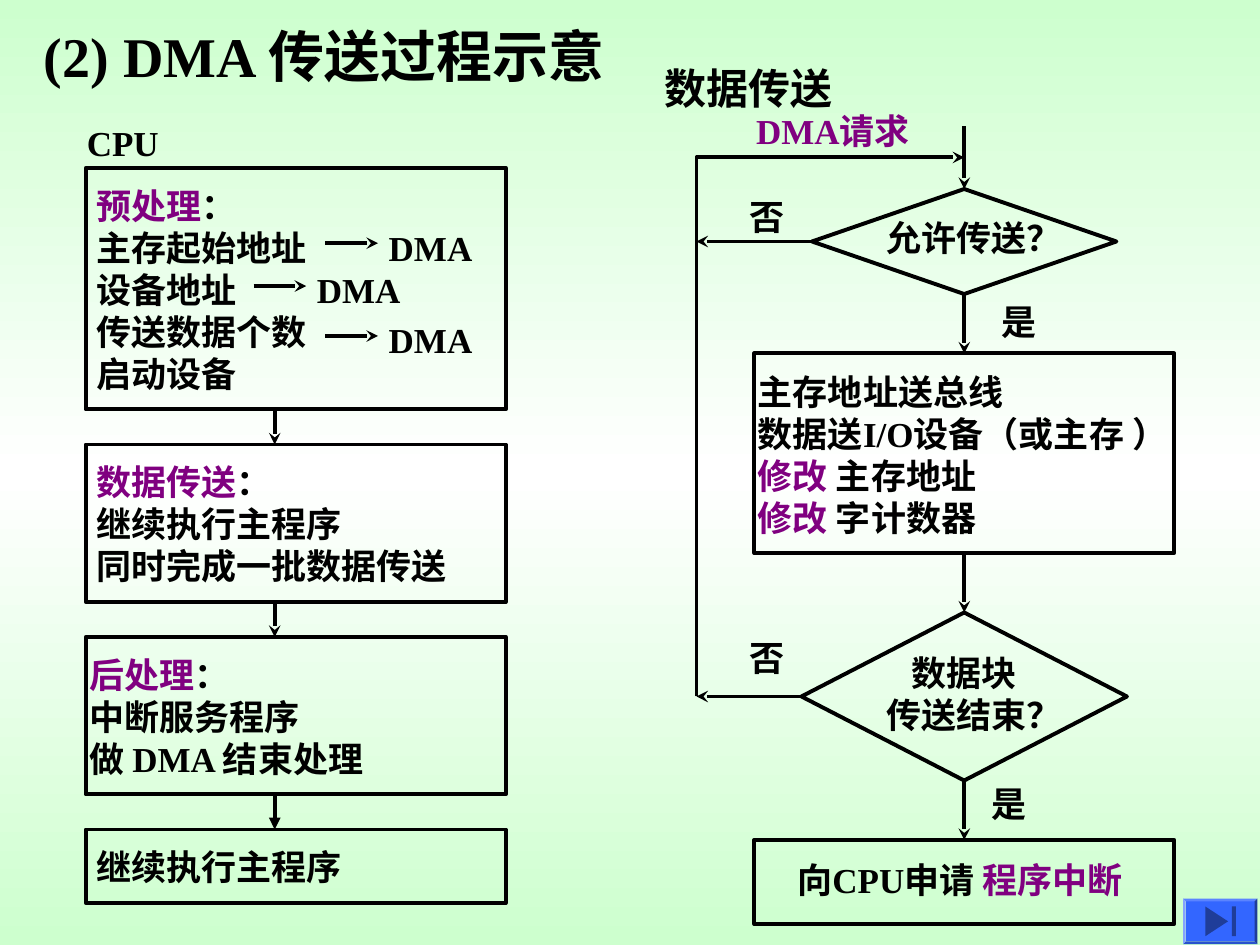
from copy import deepcopy
from dataclasses import dataclass

from lxml import etree
from pptx import Presentation
from pptx.dml.color import RGBColor
from pptx.enum import shapes, text
from pptx.oxml.ns import qn
from pptx.util import Pt


@dataclass(frozen=True)
class Theme:
    ink: str = "000000"
    accent: str = "800080"
    edge: str = "CDFFCE"
    middle: str = "FFFFFF"
    button: str = "3366FF"
    button_icon: str = "1F3D99"
    font: str = "Times New Roman"
    body: int = 20
    heading: int = 24
    title: int = 32
    stroke: float = 2.25


TOP, LEFT, BOTTOM, RIGHT = range(4)
SHAPE = shapes.MSO_SHAPE


class Flowchart:
    def __init__(self, slide, theme):
        self.slide, self.theme = slide, theme

    def background(self):
        fill = self.slide.background.fill
        fill.gradient()
        fill.gradient_angle = 270
        stops = self.slide.element.find(".//" + qn("a:gsLst"))
        stops.insert(1, deepcopy(stops[0]))
        colors = (self.theme.edge, self.theme.middle, self.theme.edge)
        for i, (stop, color) in enumerate(zip(fill.gradient_stops, colors)):
            stop.color.rgb = RGBColor.from_string(color)
            stop.position = i / 2

    def outline(self, item):
        item.line.color.rgb = RGBColor.from_string(self.theme.ink)
        item.line.width = Pt(self.theme.stroke)

    def arrowhead(self, item, kind):
        etree.SubElement(item.line._get_or_add_ln(), qn("a:tailEnd"), type=kind)

    def node(self, kind, x, y, w, h):
        """Add an unfilled, outlined shape."""
        node = self.slide.shapes.add_shape(kind, Pt(x), Pt(y), Pt(w), Pt(h))
        node.shadow.inherit = False
        node.fill.background()
        self.outline(node)
        return node

    def solid(self, kind, x, y, w, h, color):
        """Add a filled shape without an outline."""
        solid = self.node(kind, x, y, w, h)
        solid.fill.solid()
        solid.fill.fore_color.rgb = RGBColor.from_string(color)
        solid.line.fill.background()
        return solid

    def arrow(self, start, end, head="stealth", source=None, target=None):
        """source and target are (shape, side) pairs to join."""
        arrow = self.slide.shapes.add_connector(
            shapes.MSO_CONNECTOR.STRAIGHT, *map(Pt, start + end))
        if source:
            arrow.begin_connect(*source)
        if target:
            arrow.end_connect(*target)
        self.outline(arrow)
        self.arrowhead(arrow, head)
        etree.SubElement(arrow._element.spPr, qn("a:effectLst"))

    def bent_arrow(self, first, *others):
        builder = self.slide.shapes.build_freeform(*map(Pt, first), scale=1.0)
        builder.add_line_segments([tuple(map(Pt, p)) for p in others], close=False)
        bent = builder.convert_to_shape()
        bent.shadow.inherit = False
        bent.fill.background()
        self.outline(bent)
        self.arrowhead(bent, "stealth")

    def text(self, lines, x, y, w, h=31.5, size=None, color=None, wrap=False,
             first_indent=0):
        """Each line is a string or a list of (string, colour) runs."""
        theme = self.theme
        frame = self.slide.shapes.add_textbox(Pt(x), Pt(y), Pt(w), Pt(h)).text_frame
        frame.word_wrap = wrap
        frame.auto_size = text.MSO_AUTO_SIZE.SHAPE_TO_FIT_TEXT
        for i, line in enumerate(lines):
            paragraph = frame.paragraphs[0] if i == 0 else frame.add_paragraph()
            if i == 0 and first_indent:
                paragraph._p.get_or_add_pPr().set("marL", str(Pt(first_indent)))
            runs = [(line, color or theme.ink)] if isinstance(line, str) else line
            for words, run_color in runs:
                run = paragraph.add_run()
                run.text = words
                run.font.name = theme.font
                run.font.size = Pt(size or theme.body)
                run.font.bold = True
                run.font.color.rgb = RGBColor.from_string(run_color)


def draw_cpu_side(chart):
    ink, accent = chart.theme.ink, chart.theme.accent
    chart.text(["CPU"], 42.5, 66, 60)
    stages = [
        ("预处理", ["主存起始地址", "设备地址", "传送数据个数", "启动设备"], 48, 140, 138),
        ("数据传送", ["继续执行主程序", "同时完成一批数据传送"], 48, 220, 90),
        ("后处理", ["中断服务程序", "做 DMA 结束处理"], 44, 190, 90),
        (None, ["继续执行主程序"], 48, 160, 42),
    ]
    heads = ["stealth", "stealth", "triangle"]
    gap, top = 20, 96
    for i, (name, steps, text_x, text_w, height) in enumerate(stages):
        chart.node(SHAPE.RECTANGLE, 49, top, 240, height)
        label = [[(name, accent), ("：", ink)]] if name else []
        chart.text(label + steps, text_x, top + 5.75, text_w, height - 11)
        top += height
        if i < len(heads):
            chart.arrow((157, top), (157, top + gap), heads[i])
        top += gap
    for x, y, dma_x, dma_y in [(186, 139, 215, 126), (145, 163.5, 174, 150),
                               (186, 192, 215, 178.5)]:
        chart.arrow((x, y), (x + 30, y))
        chart.text(["DMA"], dma_x, dma_y, 70)


def draw_transfer_side(chart):
    ink, accent = chart.theme.ink, chart.theme.accent
    axis, back = 551, 398

    def centred(kind, y, w, h):
        return chart.node(kind, axis - w / 2, y, w, h)

    allowed = centred(SHAPE.DIAMOND, 108, 174, 60)
    transfer = centred(SHAPE.RECTANGLE, 202, 240, 114)
    finished = centred(SHAPE.DIAMOND, 350, 186, 96)
    interrupt = centred(SHAPE.RECTANGLE, 480, 240, 48)

    chart.arrow((axis, 72), (axis, 108), target=(allowed, TOP))
    steps = [allowed, transfer, finished, interrupt]
    for upper, lower in zip(steps, steps[1:]):
        chart.arrow((axis, 0), (axis, 0), source=(upper, BOTTOM), target=(lower, TOP))
    for decision, y in [(allowed, 138), (finished, 398)]:
        chart.arrow((axis, y), (back, y), source=(decision, LEFT))
    chart.bent_arrow((back, 398), (back, 90), (axis, 90))

    chart.text(["数据传送"], 372.5, 32, 118, 36, size=chart.theme.heading)
    chart.text(["DMA请求"], 425, 59, 115, color=accent)
    chart.text(["允许传送？"], 499.5, 120, 120)
    chart.text(["主存地址送总线", "数据送I/O设备（或主存 ）",
                [("修改", accent), (" 主存地址", ink)],
                [("修改", accent), (" 字计数器", ink)]], 426, 208, 264, 104)
    chart.text(["数据块", "传送结束？"], 499.5, 368.5, 120, 55.5, first_indent=14)
    chart.text([[("向CPU申请 ", ink), ("程序中断", accent)]], 448.5, 487, 218)
    for answer, x, y in [("否", 421, 108), ("否", 421, 360),
                         ("是", 565, 168), ("是", 559.5, 443.5)]:
        chart.text([answer], x, y, 38)


def draw_next_button(chart):
    face = chart.solid(SHAPE.BEVEL, 676, 513.5, 42.5, 26, chart.theme.button)
    face.adjustments[0] = 0.06
    icon = chart.theme.button_icon
    play = chart.solid(SHAPE.ISOSCELES_TRIANGLE, 686.75, 520, 17, 13, icon)
    play.rotation = 90
    chart.solid(SHAPE.RECTANGLE, 704, 518, 2.2, 17, icon)


def main():
    deck = Presentation()
    deck.slide_width, deck.slide_height = Pt(720), Pt(540)
    chart = Flowchart(deck.slides.add_slide(deck.slide_layouts[6]), Theme())
    chart.background()
    chart.text(["(2) DMA 传送过程示意"], 18, 8.5, 366, 46, size=chart.theme.title, wrap=True)
    draw_cpu_side(chart)
    draw_transfer_side(chart)
    draw_next_button(chart)
    deck.save("out.pptx")


if __name__ == "__main__":
    main()
